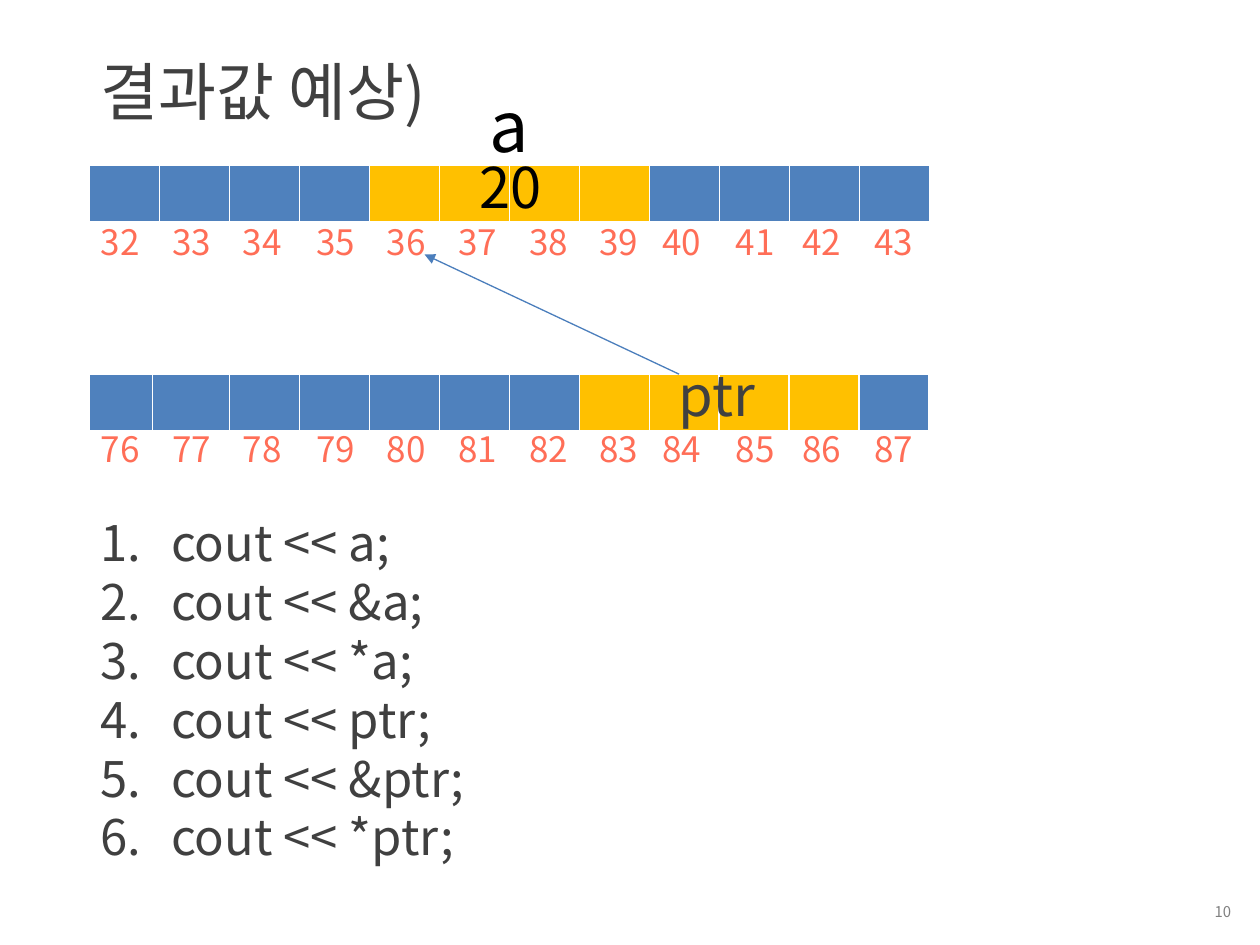
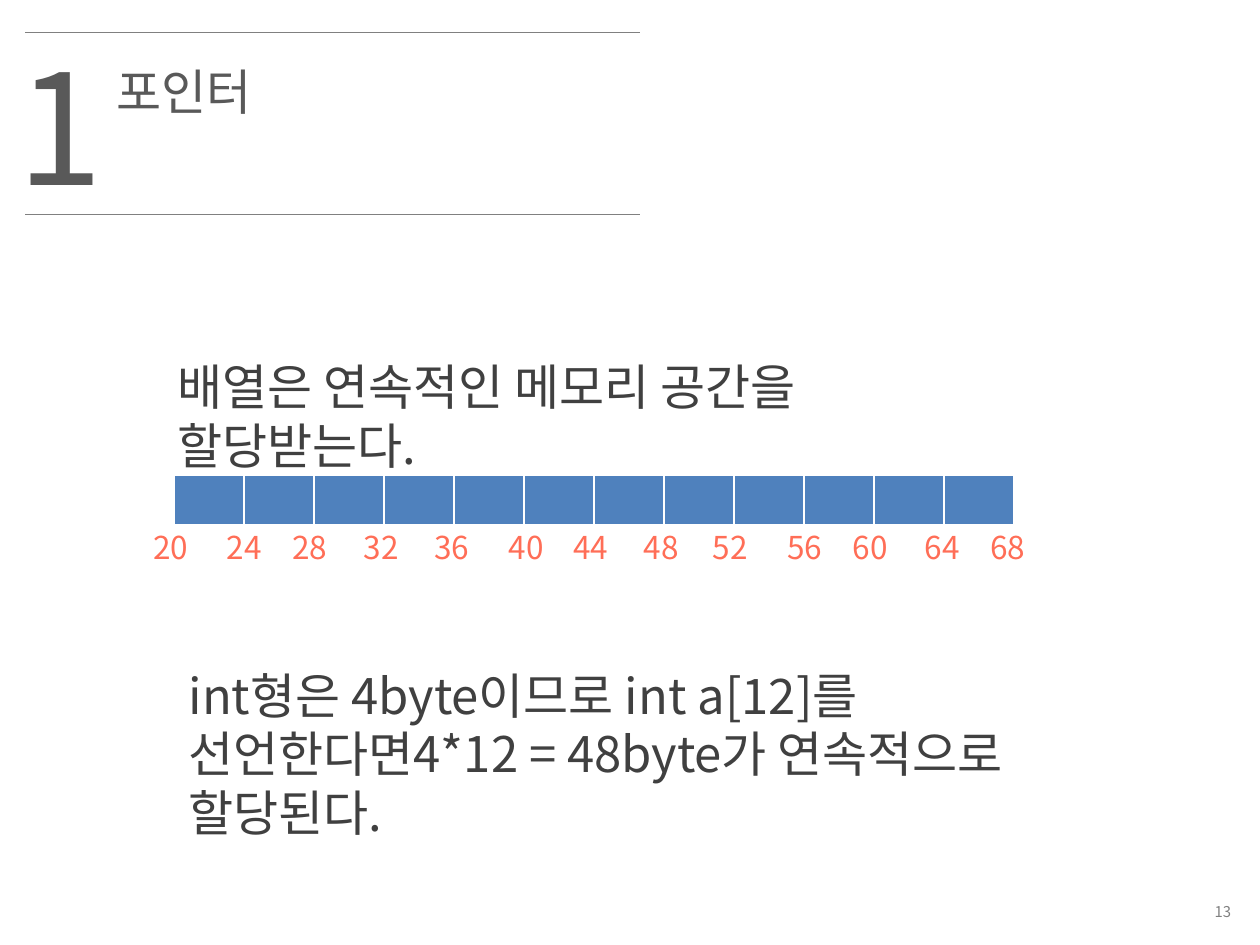
from lxml import etree
from pptx import Presentation
from pptx.dml.color import RGBColor
from pptx.enum.shapes import MSO_CONNECTOR
from pptx.enum.text import MSO_ANCHOR, MSO_AUTO_SIZE, PP_ALIGN
from pptx.oxml.ns import qn
from pptx.util import Inches, Pt

STRAIGHT = MSO_CONNECTOR.STRAIGHT
TOP, MIDDLE = MSO_ANCHOR.TOP, MSO_ANCHOR.MIDDLE
LEFT, RIGHT = PP_ALIGN.LEFT, PP_ALIGN.RIGHT
GROW, FIXED = MSO_AUTO_SIZE.SHAPE_TO_FIT_TEXT, MSO_AUTO_SIZE.NONE

FONT = "Noto Sans CJK KR"
COLORS = {
    "memory": "4F81BD",
    "variable": "FFC000",
    "border": "FFFFFF",
    "address": "FF6E57",
    "arrow": "4B7EBC",
    "body": "404040",
    "heading": "595959",
    "muted": "808080",
    "black": "000000",
}
CELL_COUNT = 12
CELL_WIDTH = 6.67 / CELL_COUNT


def add_text(page, text, left, top, width, height, size=28, color="body",
             align=LEFT, anchor=TOP, fit=GROW, numbered=False):
    box = page.shapes.add_textbox(Inches(left), Inches(top), Inches(width), Inches(height))
    frame = box.text_frame
    frame.word_wrap = True
    frame.auto_size = fit
    frame.vertical_anchor = anchor
    for index, line in enumerate(text.split("\n")):
        para = frame.paragraphs[0] if index == 0 else frame.add_paragraph()
        para.alignment = align
        if numbered:
            properties = para._p.get_or_add_pPr()
            properties.set("marL", str(Inches(0.56)))
            properties.set("indent", str(-Inches(0.56)))
            etree.SubElement(properties, qn("a:buFont"), typeface="+mj-lt")
            etree.SubElement(properties, qn("a:buAutoNum"), type="arabicPeriod")
        span = para.add_run()
        span.text = line
        span.font.size = Pt(size)
        span.font.color.rgb = RGBColor.from_string(COLORS[color])
        span.font.name = FONT
        etree.SubElement(span._r.get_or_add_rPr(), qn("a:ea"), typeface=FONT)


def add_line(page, start, end, color):
    line = page.shapes.add_connector(STRAIGHT, *[Inches(value) for value in start + end])
    line.line.width = Pt(0.75)
    line.line.color.rgb = RGBColor.from_string(COLORS[color])
    etree.SubElement(line._element.spPr, qn("a:effectLst"))
    return line


deck = Presentation()
deck.slide_width = Inches(10)
deck.slide_height = Inches(7.5)
blank = deck.slide_layouts[6]
result_page = deck.slides.add_slide(blank)
array_page = deck.slides.add_slide(blank)

for page, number in ((result_page, "10"), (array_page, "13")):
    add_text(page, number, 7.76, 7.1, 2.11, 0.27, size=8.5, color="muted",
             align=RIGHT, anchor=MIDDLE, fit=FIXED)

even_widths = [CELL_WIDTH] * CELL_COUNT
ptr_widths = [0.5, 0.61] + even_widths[2:]
memory_rows = [
    (result_page, 0.71, 2.97, 0.46, ptr_widths, range(7, 11)),
    (result_page, 0.71, 1.31, 0.46, even_widths, range(4, 8)),
    (array_page, 1.38, 3.77, 0.41, even_widths, range(0)),
]
for page, left, top, height, widths, variable_cells in memory_rows:
    table = page.shapes.add_table(1, CELL_COUNT, Inches(left), Inches(top),
                                  Inches(sum(widths)), Inches(height)).table
    table.first_row = False
    table.horz_banding = False
    for index, width in enumerate(widths):
        table.columns[index].width = Inches(width)
        cell = table.cell(0, index)
        cell.margin_top = cell.margin_bottom = 0
        properties = cell._tc.get_or_add_tcPr()
        for side, points in (("L", 1), ("R", 1), ("T", 1), ("B", 3)):
            border = etree.SubElement(properties, qn("a:ln" + side), w=str(Pt(points)))
            paint = etree.SubElement(border, qn("a:solidFill"))
            etree.SubElement(paint, qn("a:srgbClr"), val=COLORS["border"])
        cell.fill.solid()
        role = "variable" if index in variable_cells else "memory"
        cell.fill.fore_color.rgb = RGBColor.from_string(COLORS[role])

byte_lefts = [0.7, 1.27, 1.83, 2.41, 2.97, 3.54, 4.1, 4.66, 5.16, 5.74, 6.27, 6.84]
int_lefts = [1.12, 1.7, 2.22, 2.79, 3.35, 3.94, 4.45, 5.01, 5.56, 6.15, 6.67, 7.24, 7.76]
address_rows = [
    (result_page, range(32, 44), byte_lefts, 1.7, 0.59, 0.44, 20),
    (result_page, range(76, 88), byte_lefts, 3.34, 0.59, 0.44, 20),
    (array_page, range(20, 69, 4), int_lefts, 4.14, 0.53, 0.4, 18),
]
for page, addresses, lefts, top, width, height, size in address_rows:
    for address, left in zip(addresses, lefts):
        add_text(page, str(address), left, top, width, height, size=size, color="address")

arrow = add_line(result_page, (5.39, 2.97), (3.37, 2.02), "arrow")
etree.SubElement(arrow.line._get_or_add_ln(), qn("a:tailEnd"), type="triangle")

add_text(result_page, "ptr", 5.29, 2.81, 0.94, 0.64, size=32)
statements = [f"cout << {name};" for name in ("a", "&a", "*a", "ptr", "&ptr", "*ptr")]
add_text(result_page, "\n".join(statements), 0.7, 4.02, 3.44, 2.93, numbered=True)
add_text(result_page, "결과값 예상)", 0.7, 0.37, 5.58, 0.71, size=36)
add_text(result_page, "a", 3.79, 0.61, 0.59, 0.77, size=40, color="black")
add_text(result_page, "20", 3.71, 1.16, 0.76, 0.64, size=32, color="black")

for rule_top in (0.26, 1.7):
    add_line(array_page, (0.2, rule_top), (5.08, rule_top), "muted")
add_text(array_page, "배열은 연속적인 메모리 공간을 할당받는다.", 1.31, 2.78, 6.79, 0.57)
add_text(array_page, "int형은 4byte이므로 int a[12]를 선언한다면4*12 = 48byte가 연속적으로 할당된다.",
         1.4, 5.23, 7.06, 1.04)
add_text(array_page, "포인터", 0.83, 0.44, 4.49, 0.57, color="heading")
add_text(array_page, "1", 0.04, 0.2, 0.79, 1.58, size=88, color="heading")

deck.save("out.pptx")
